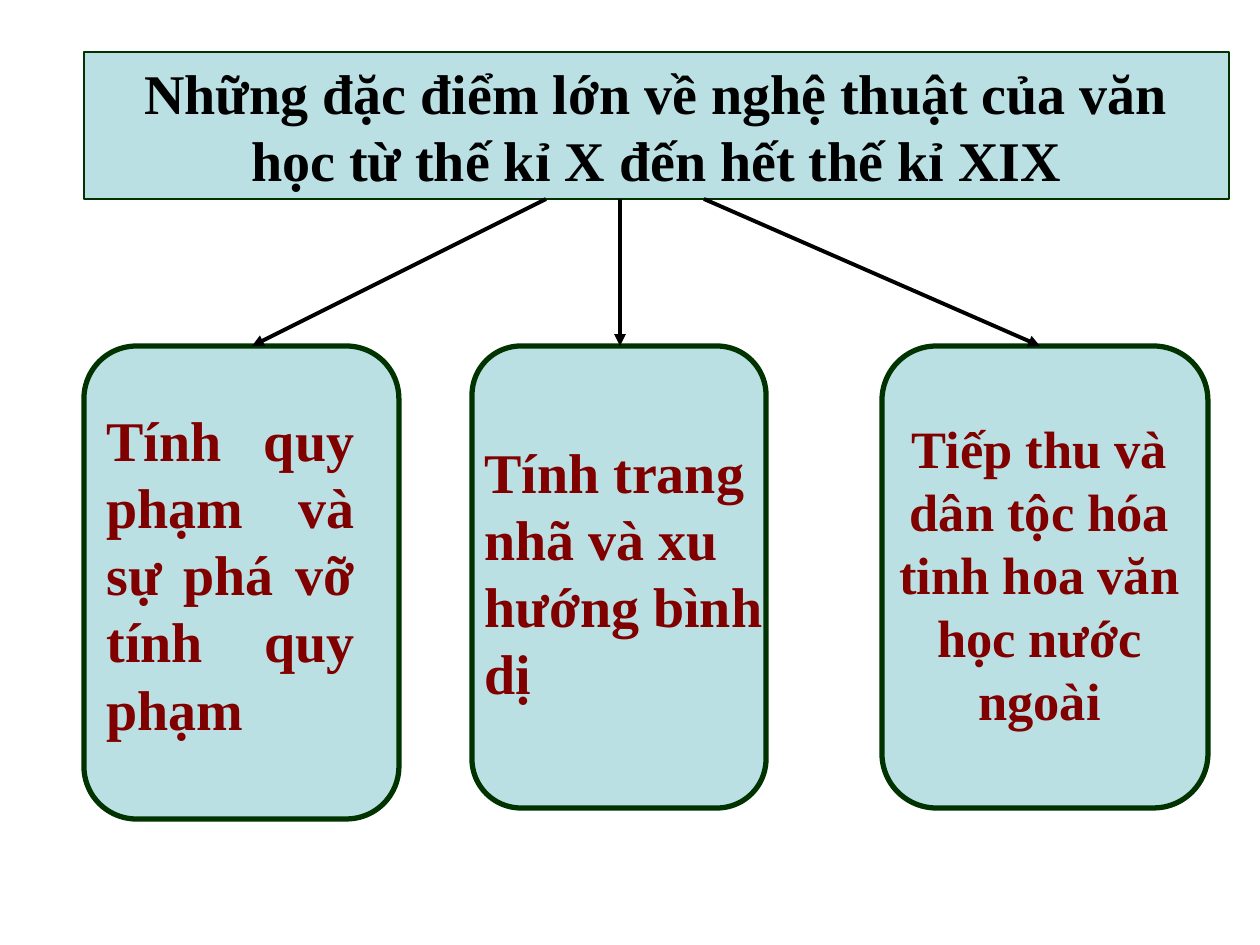
from dataclasses import dataclass

from pptx import Presentation
from pptx.dml.color import RGBColor
from pptx.enum.shapes import MSO_CONNECTOR, MSO_SHAPE
from pptx.enum.text import MSO_ANCHOR, MSO_AUTO_SIZE, PP_ALIGN as Align
from pptx.oxml.ns import qn
from pptx.slide import Slide
from pptx.text.text import TextFrame
from pptx.util import Emu, Inches, Pt
from lxml.etree import SubElement

PX_PER_INCH = 126
FONT = "Times New Roman"
PALE_TEAL = RGBColor(0xBB, 0xE0, 0xE3)
DARK_GREEN = RGBColor(0x00, 0x33, 0x00)
MAROON = RGBColor(0x80, 0x00, 0x00)
BLACK = RGBColor(0x00, 0x00, 0x00)

TITLE = "Những đặc điểm lớn về nghệ thuật của văn học từ thế kỉ X đến hết thế kỉ XIX"
TITLE_BOTTOM = 199
CARD_TOP = 346


@dataclass(frozen=True)
class Box:
    left: int
    top: int
    width: int
    height: int

    def emu(self) -> tuple[Emu, Emu, Emu, Emu]:
        return px(self.left), px(self.top), px(self.width), px(self.height)


@dataclass(frozen=True)
class Feature:
    card: Box
    label: Box
    text: str
    size: int
    align: Align
    arrow_start: int
    arrow_end: int


FEATURES = [
    Feature(Box(84, CARD_TOP, 315, 473), Box(94, 399, 273, 349),
            "Tính quy phạm và sự phá vỡ tính quy phạm", 32, Align.JUSTIFY, 546, 252),
    Feature(Box(472, CARD_TOP, 294, 462), Box(472, 431, 315, 282),
            "Tính trang nhã và xu hướng bình dị", 32, Align.LEFT, 620, 620),
    Feature(Box(882, CARD_TOP, 326, 462), Box(882, 410, 315, 328),
            "Tiếp thu và dân tộc hóa tinh hoa văn học nước ngoài", 30, Align.CENTER, 704, 1040),
]


def px(length: int) -> Emu:
    return Emu(round(length * Inches(1) / PX_PER_INCH))


def paint(shape, line_width: float) -> None:
    shape.fill.solid()
    shape.fill.fore_color.rgb = PALE_TEAL
    shape.line.color.rgb = DARK_GREEN
    shape.line.width = Pt(line_width)


def write(frame: TextFrame, text: str, size: int, color: RGBColor, align: Align) -> None:
    frame.word_wrap = True
    frame.auto_size = MSO_AUTO_SIZE.NONE
    frame.vertical_anchor = MSO_ANCHOR.TOP
    paragraph = frame.paragraphs[0]
    paragraph.alignment = align
    run = paragraph.add_run()
    run.text = text
    run.font.name = FONT
    run.font.size = Pt(size)
    run.font.bold = True
    run.font.color.rgb = color


def add_title(slide: Slide) -> None:
    title = slide.shapes.title
    title.left, title.top, title.width, title.height = Box(84, 52, 1145, 147).emu()
    paint(title, 0.75)
    write(title.text_frame, TITLE, 32, BLACK, Align.CENTER)


def add_arrow(slide: Slide, start: int, end: int) -> None:
    arrow = slide.shapes.add_connector(
        MSO_CONNECTOR.STRAIGHT, px(start), px(TITLE_BOTTOM), px(end), px(CARD_TOP))
    arrow.line.color.rgb = BLACK
    arrow.line.width = Pt(2.25)
    SubElement(arrow.line._get_or_add_ln(), qn("a:tailEnd"), type="triangle")
    SubElement(arrow._element.spPr, qn("a:effectLst"))


def add_feature(slide: Slide, feature: Feature) -> None:
    card = slide.shapes.add_shape(MSO_SHAPE.ROUNDED_RECTANGLE, *feature.card.emu())
    card.shadow.inherit = False
    paint(card, 3)
    label = slide.shapes.add_textbox(*feature.label.emu())
    write(label.text_frame, feature.text, feature.size, MAROON, feature.align)
    add_arrow(slide, feature.arrow_start, feature.arrow_end)


def main() -> None:
    presentation = Presentation()
    presentation.slide_width = Inches(10)
    presentation.slide_height = Inches(7.5)
    slide = presentation.slides.add_slide(presentation.slide_layouts.get_by_name("Title Only"))
    add_title(slide)
    for feature in FEATURES:
        add_feature(slide, feature)
    presentation.save("out.pptx")


if __name__ == "__main__":
    main()
